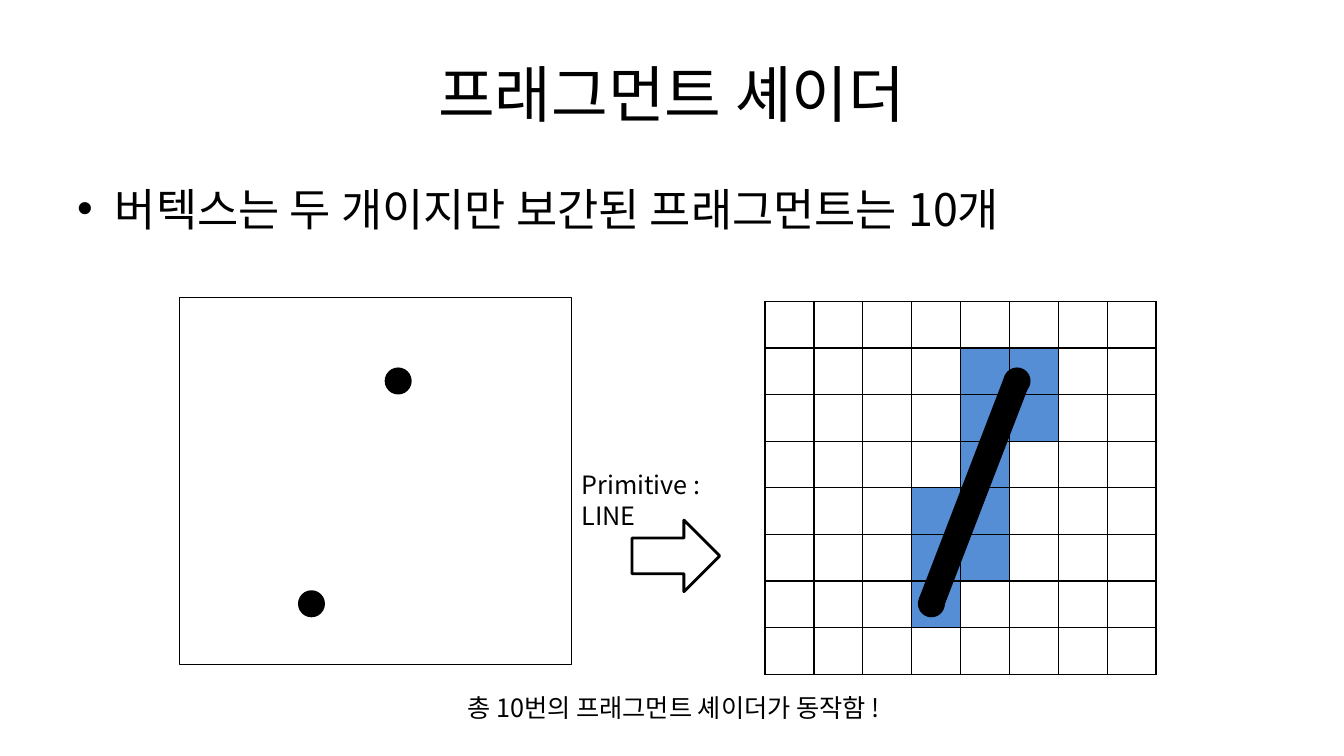
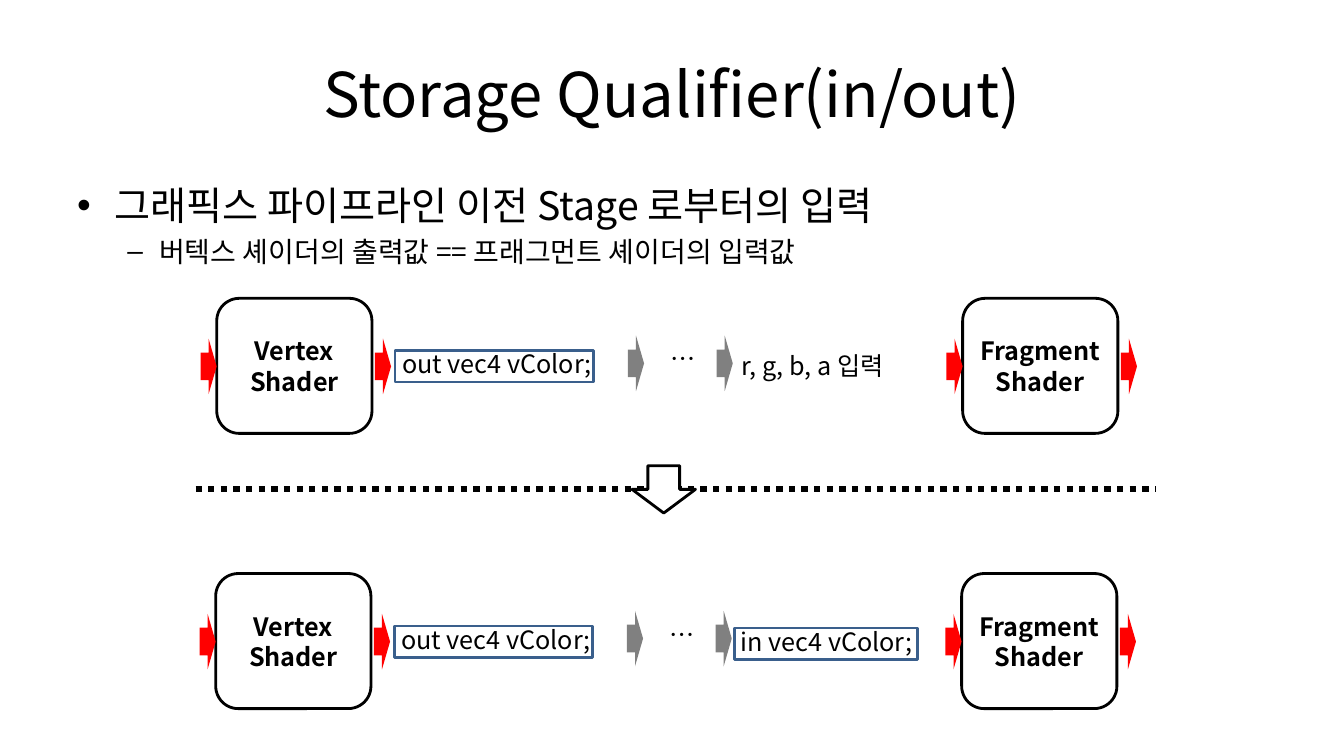
from dataclasses import dataclass

from lxml.etree import SubElement as Sub
from pptx import Presentation
from pptx.dml.color import RGBColor as Rgb
from pptx.enum.dml import MSO_LINE_DASH_STYLE as Dash
from pptx.enum.shapes import MSO_CONNECTOR as Link, MSO_SHAPE as Kind
from pptx.enum.text import MSO_ANCHOR as Anchor, PP_ALIGN as Align
from pptx.oxml.ns import qn
from pptx.slide import Slide
from pptx.util import Inches, Pt

COLS, ROWS = 80, 45
WIDTH, HEIGHT = Inches(13.33), Inches(7.5)
FONT = "Noto Sans CJK KR"
HUES = {"ink": "000000", "paper": "FFFFFF", "cell": "558ED5",
        "red": "FF0000", "gray": "808080", "frame": "3A5F8C"}


@dataclass(frozen=True)
class Box:
    x: float
    y: float
    w: float
    h: float

    def move(self, dx: float, dy: float) -> "Box":
        return Box(self.x + dx, self.y + dy, self.w, self.h)

    def emu(self) -> tuple[int, int, int, int]:
        return col(self.x), row(self.y), col(self.w), row(self.h)


@dataclass(frozen=True)
class Look:
    fill: str = ""
    line: str = ""
    width: float = 2


@dataclass(frozen=True)
class Item:
    text: str
    size: int
    mark: str
    left: float
    hang: float


@dataclass(frozen=True)
class Stage:
    name: str
    x: float


@dataclass(frozen=True)
class Flow:
    dx: float
    dy: float
    input: str
    framed: bool


SOLID = Look("ink", "ink")
PLAIN = Look("paper", "ink")
FRAME = Look(line="frame")
RED = Look("red")
GRAY = Look("gray")

TITLE = Box(4, 1.8, 72, 7.5)
BODY = Box(4, 10.5, 72, 29.7)
GRID = Box(45.54, 17.94, 23.28, 22.2)
SIDE = 8
LIT = {1: (4, 5), 2: (4, 5), 3: (4,), 4: (3, 4), 5: (3, 4), 6: (3,)}
DOT = 1.44
DOTS = ((17.82, 35.22), (22.98, 21.96), (54.72, 35.22), (59.82, 21.96))
STAGES = (Stage("Vertex Shader", 11.94), Stage("Fragment Shader", 56.34))
FLOWS = (Flow(0, 0, "r, g, b, a 입력", False),
         Flow(-0.06, 16.38, "in vec4 vColor;", True))


def col(n: float) -> int:
    return round(WIDTH * n / COLS)


def row(n: float) -> int:
    return round(HEIGHT * n / ROWS)


def tint(name: str) -> Rgb:
    return Rgb.from_string(HUES[name])


def style(run, size: int, bold: bool = False) -> None:
    form = {"size": Pt(size), "bold": bold, "name": FONT}
    for key, value in form.items():
        setattr(run.font, key, value)
    run.font.color.rgb = tint("ink")
    Sub(run.font._element, qn("a:ea"), typeface=FONT)


def write(slide: Slide, box: Box, text: str, size: int = 18,
          align: Align = Align.LEFT, anchor: Anchor = Anchor.TOP) -> None:
    frame = slide.shapes.add_textbox(*box.emu()).text_frame
    form = {"word_wrap": True, "vertical_anchor": anchor}
    for key, value in form.items():
        setattr(frame, key, value)
    para = frame.paragraphs[0]
    para.alignment = align
    run = para.add_run()
    run.text = text
    style(run, size)


def list_items(slide: Slide, items: tuple[Item, ...]) -> None:
    frame = slide.shapes.add_textbox(*BODY.emu()).text_frame
    frame.word_wrap = True
    for i, item in enumerate(items):
        para = frame.add_paragraph() if i else frame.paragraphs[0]
        para.space_before = Pt(item.size * 0.2)
        props = para._p.get_or_add_pPr()
        form = {"marL": col(item.left), "indent": -col(item.hang)}
        for key, value in form.items():
            props.set(key, str(value))
        Sub(props, qn("a:buFont"), typeface="Arial")
        Sub(props, qn("a:buChar"), char=item.mark)
        run = para.add_run()
        run.text = item.text
        style(run, item.size)


def draw(slide: Slide, kind: Kind, box: Box, look: Look,
         text: str = "") -> None:
    shape = slide.shapes.add_shape(kind, *box.emu())
    shape.shadow.inherit = False
    if look.fill:
        shape.fill.solid()
        shape.fill.fore_color.rgb = tint(look.fill)
    else:
        shape.fill.background()
    if look.line:
        shape.line.color.rgb = tint(look.line)
        shape.line.width = Pt(look.width)
    else:
        shape.line.fill.background()
    if text:
        frame = shape.text_frame
        frame.word_wrap = True
        frame.vertical_anchor = Anchor.MIDDLE
        para = frame.paragraphs[0]
        para.alignment = Align.CENTER
        run = para.add_run()
        run.text = text
        style(run, 18, True)


def join(slide: Slide, x1: float, y1: float, x2: float, y2: float,
         width: float, dash: Dash | None = None) -> None:
    link = slide.shapes.add_connector(
        Link.STRAIGHT, col(x1), row(y1), col(x2), row(y2))
    link.line.color.rgb = tint("ink")
    form = {"width": Pt(width), "dash_style": dash}
    for key, value in form.items():
        setattr(link.line, key, value)
    Sub(link._element.spPr, qn("a:effectLst"))


def edge(cell) -> None:
    props = cell._tc.get_or_add_tcPr()
    for i, side in enumerate(("lnL", "lnR", "lnT", "lnB")):
        line = props.makeelement(qn(f"a:{side}"), {"w": str(Pt(1))})
        fill = Sub(line, qn("a:solidFill"))
        Sub(fill, qn("a:srgbClr"), val=HUES["ink"])
        props.insert(i, line)


def draw_grid(slide: Slide) -> None:
    table = slide.shapes.add_table(SIDE, SIDE, *GRID.emu()).table
    for flag in ("first_row", "horz_banding"):
        setattr(table, flag, False)
    for i in range(SIDE):
        table.columns[i].width = col(GRID.w / SIDE)
        table.rows[i].height = row(GRID.h / SIDE)
        for j in range(SIDE):
            cell = table.cell(i, j)
            if j in LIT.get(i, ()):
                cell.fill.solid()
                cell.fill.fore_color.rgb = tint("cell")
            else:
                cell.fill.background()
            edge(cell)


def draw_stage(slide: Slide, stage: Stage, flow: Flow) -> None:
    box = Box(stage.x + 0.96, 17.76, 9.24, 8.04)
    draw(slide, Kind.ROUNDED_RECTANGLE, box.move(flow.dx, flow.dy),
         PLAIN, stage.name)
    for gap in (10.38, 0):
        tip = Box(stage.x + gap, 20.16, 0.96, 3.3)
        draw(slide, Kind.RIGHT_ARROW, tip.move(flow.dx, flow.dy), RED)


def draw_flow(slide: Slide, flow: Flow) -> None:
    for stage in STAGES:
        draw_stage(slide, stage, flow)
    texts = ((Box(23.34, 20.46, 15.18, 2.4), "out vec4 vColor;"),
             (Box(39.3, 20.16, 3.36, 2.4), "…"),
             (Box(43.56, 20.58, 12.78, 2.4), flow.input))
    for box, text in texts:
        write(slide, box.move(flow.dx, flow.dy), text)
    for x in (37.38, 42.66):
        tip = Box(x, 19.98, 0.96, 3.3)
        draw(slide, Kind.RIGHT_ARROW, tip.move(flow.dx, flow.dy), GRAY)
    frames = [Box(23.52, 20.88, 11.8, 1.86)]
    if flow.framed:
        frames.append(Box(43.8, 21, 10.86, 1.86))
    for box in frames:
        draw(slide, Kind.RECTANGLE, box.move(flow.dx, flow.dy), FRAME)


def start(deck, title: str, *items: Item) -> Slide:
    slide = deck.slides.add_slide(deck.slide_layouts[6])
    write(slide, TITLE, title, 44, Align.CENTER, Anchor.MIDDLE)
    list_items(slide, items)
    return slide


def add_raster(deck) -> None:
    slide = start(deck, "프래그먼트 셰이더", Item(
        "버텍스는 두 개이지만 보간된 프래그먼트는 10개", 32, "•", 2.25, 2.25))
    draw_grid(slide)
    for x, y in DOTS:
        draw(slide, Kind.OVAL, Box(x, y, DOT, DOT), SOLID)
    write(slide, Box(34.02, 27.66, 11.64, 2.4), "Primitive : LINE")
    draw(slide, Kind.RECTANGLE, Box(10.68, 17.7, 23.34, 21.84),
         Look(line="ink", width=1))
    draw(slide, Kind.RIGHT_ARROW, Box(37.62, 30.96, 5.22, 4.26), PLAIN)
    join(slide, 55.44, 35.88, 60.54, 22.62, 18.75)
    write(slide, Box(27.24, 40.92, 29.76, 2.4),
          "총 10번의 프래그먼트 셰이더가 동작함 !")


def add_store(deck) -> None:
    slide = start(
        deck, "Storage Qualifier(in/out)",
        Item("그래픽스 파이프라인 이전 Stage 로부터의 입력", 28, "•", 2.25, 2.25),
        Item("버텍스 셰이더의 출력값 == 프래그먼트 셰이더의 입력값",
             20, "–", 4.88, 1.88))
    join(slide, 11.64, 29.1, 68.82, 29.1, 4.5, Dash.ROUND_DOT)
    for flow in FLOWS:
        draw_flow(slide, flow)
    draw(slide, Kind.DOWN_ARROW, Box(37.62, 27.72, 3.78, 2.82), PLAIN)


def main() -> None:
    deck = Presentation()
    form = {"slide_width": WIDTH, "slide_height": HEIGHT}
    for key, value in form.items():
        setattr(deck, key, value)
    add_raster(deck)
    add_store(deck)
    deck.save("out.pptx")


if __name__ == "__main__":
    main()
